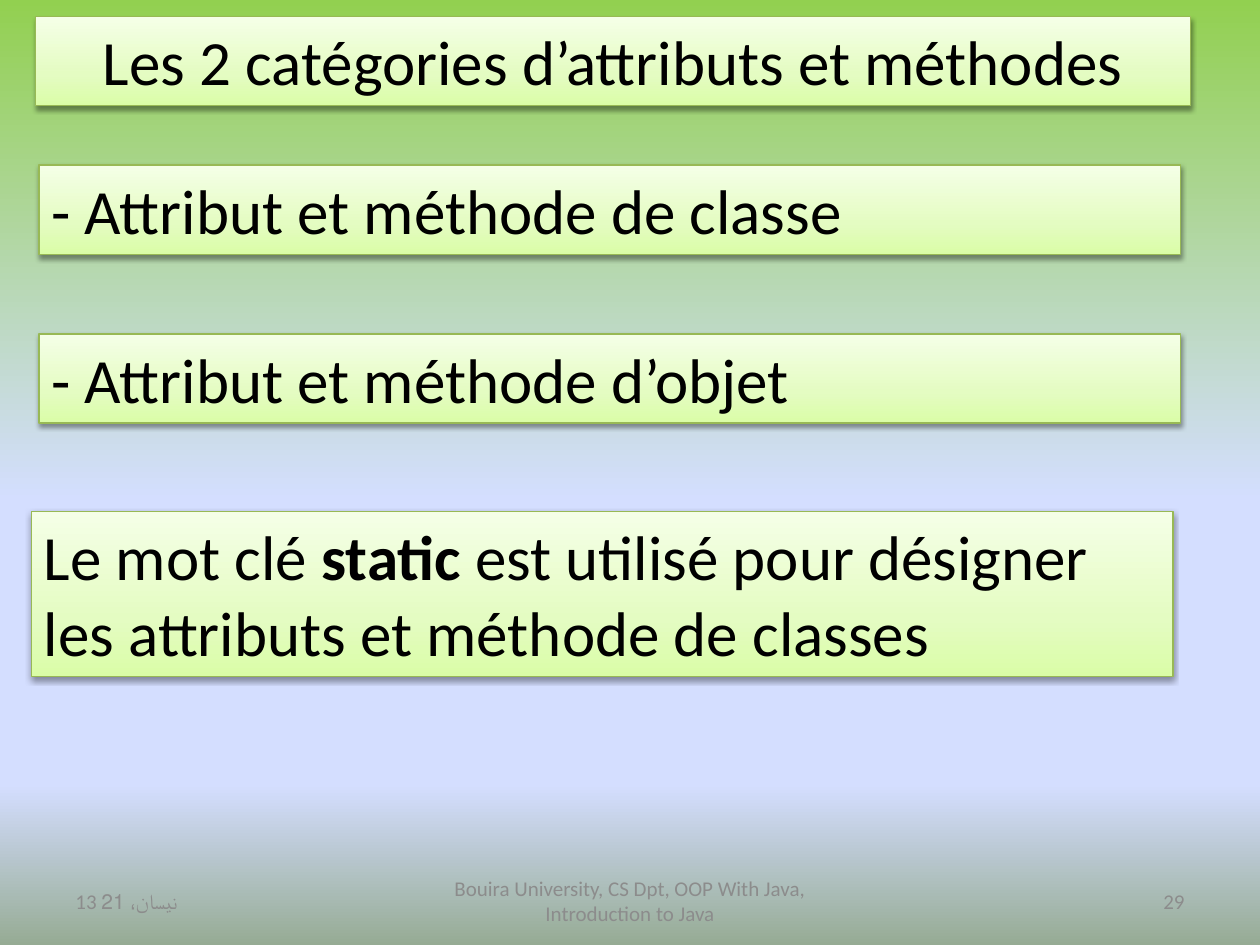
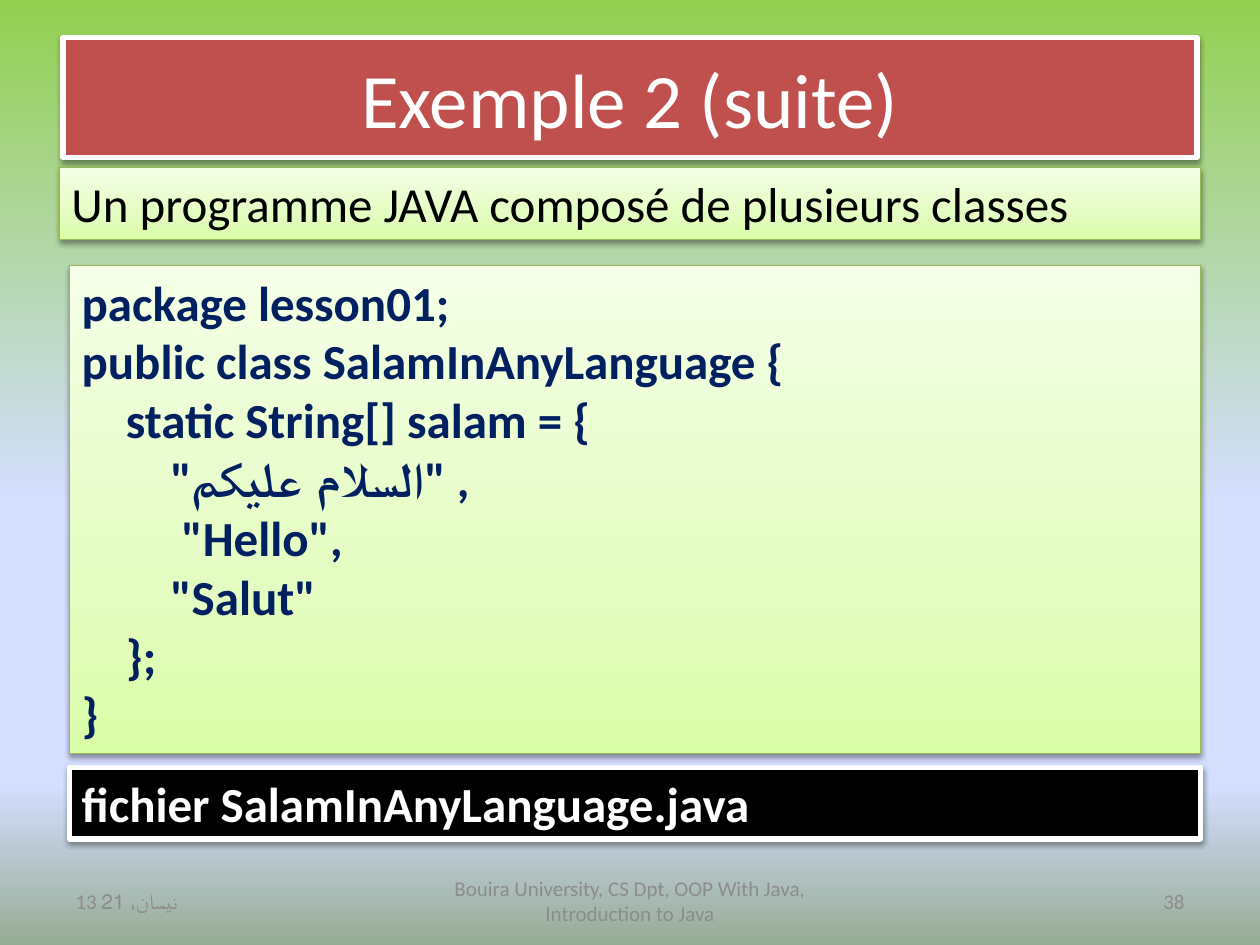
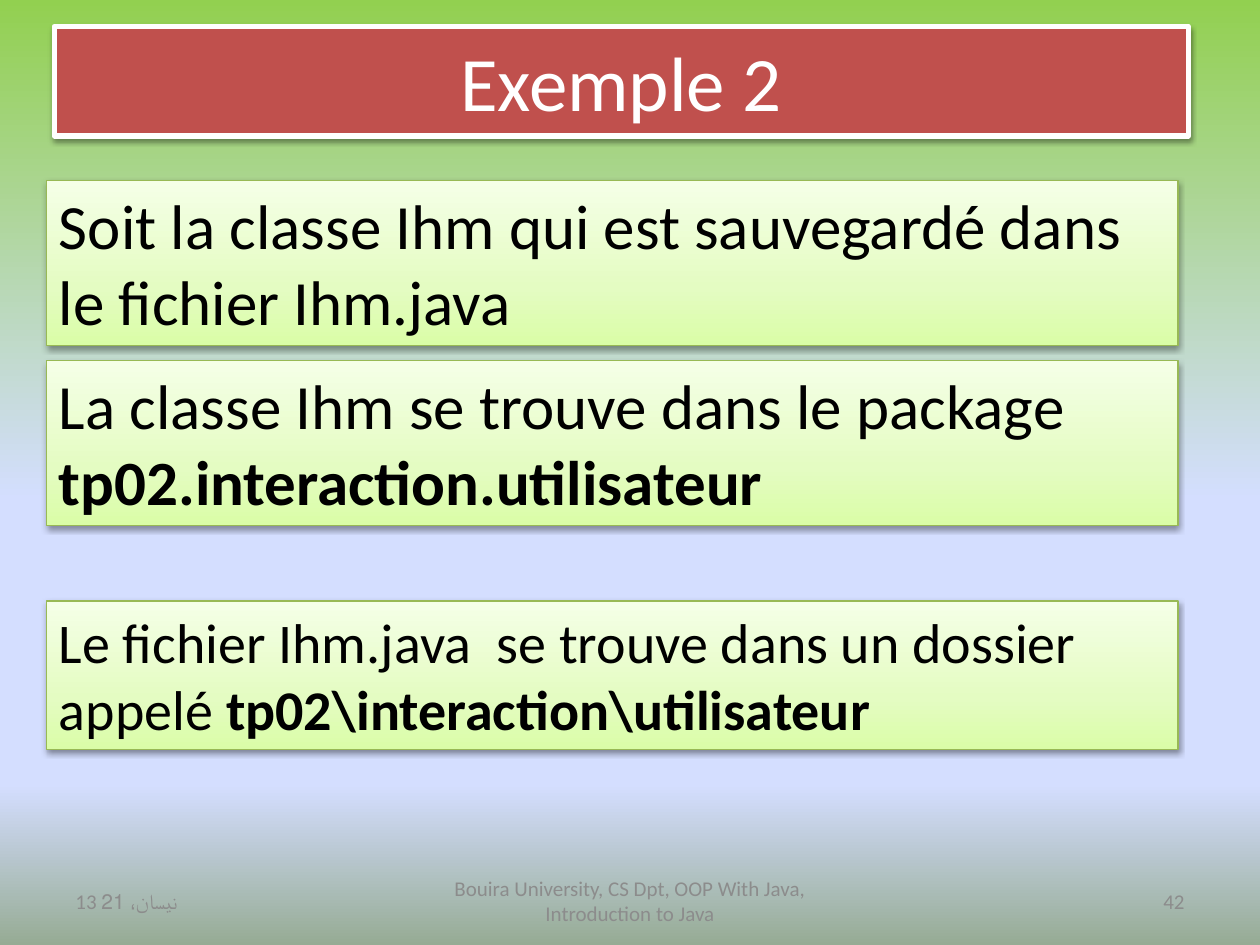
from dataclasses import dataclass
from typing import Optional

from lxml.etree import SubElement
from pptx import Presentation
from pptx.dml.color import RGBColor
from pptx.enum.shapes import MSO_SHAPE
from pptx.enum.text import MSO_ANCHOR, MSO_AUTO_SIZE, PP_ALIGN
from pptx.oxml.ns import qn
from pptx.util import Pt

Stops = tuple[tuple[int, str], ...]


@dataclass(frozen=True)
class Theme:
    font: str = "Calibri"
    black: str = "000000"
    white: str = "FFFFFF"
    red: str = "C0504D"
    navy: str = "002060"
    grey: str = "8C8C8C"
    green_line: str = "98B955"
    panel_stops: Stops = ((0, "DAFDA7"), (35, "E4FCC2"), (100, "F5FFE7"))
    page_stops: Stops = ((0, "92D050"), (53, "D4DEFF"), (83, "D4DEFF"), (100, "96AB94"))
    title: int = 44
    large: int = 36
    medium: int = 32
    body: int = 28
    footer: int = 12


THEME = Theme()


@dataclass(frozen=True)
class Style:
    """Look of a box; a fill of None means the green gradient."""
    color: str = THEME.black
    fill: Optional[str] = None
    line: str = THEME.green_line
    line_width: float = 0.75
    bold: bool = False
    align: PP_ALIGN = PP_ALIGN.LEFT
    anchor: MSO_ANCHOR = MSO_ANCHOR.TOP
    auto_size: MSO_AUTO_SIZE = MSO_AUTO_SIZE.SHAPE_TO_FIT_TEXT


PANEL = Style()
HEADING = Style(align=PP_ALIGN.CENTER)
CODE = Style(color=THEME.navy, bold=True)
FILE_NAME = Style(THEME.white, THEME.black, THEME.white, 3, bold=True)
TITLE = Style(THEME.white, THEME.red, THEME.white, 3, align=PP_ALIGN.CENTER,
              anchor=MSO_ANCHOR.MIDDLE, auto_size=MSO_AUTO_SIZE.NONE)


@dataclass(frozen=True)
class Box:
    """A framed text; lengths in points, **bold** parts between asterisks."""
    left: float
    top: float
    width: float
    height: float
    text: str
    size: int = THEME.large
    style: Style = PANEL


@dataclass(frozen=True)
class Page:
    number: int
    boxes: tuple[Box, ...]


@dataclass(frozen=True)
class FooterPart:
    left: float
    width: float
    align: PP_ALIGN
    text: str


FOOTER_TOP, FOOTER_HEIGHT = 500.4, 28.8
FOOTER = (
    FooterPart(36, 168, PP_ALIGN.LEFT, "13 نيسان، 21"),
    FooterPart(246, 228, PP_ALIGN.CENTER,
               "Bouira University, CS Dpt, OOP With Java, Introduction to Java"),
    FooterPart(516, 168, PP_ALIGN.RIGHT, "{number}"),
)

SALAM_CODE = """package lesson01;
public class SalamInAnyLanguage {
    static String[] salam = {
        "السلام عليكم" ,
         "Hello",
        "Salut"
    };
}"""

PAGES = (
    Page(29, (
        Box(20.2, 9.4, 660.2, 51, "Les 2 catégories d’attributs et méthodes", style=HEADING),
        Box(22.3, 94.3, 652.3, 51, "- Attribut et méthode de classe"),
        Box(22.3, 190.8, 652.3, 51, "- Attribut et méthode d’objet"),
        Box(18, 292.3, 652.3, 94.3, "Le mot clé **static** est utilisé pour désigner "
            "les attributs et méthode de classes"),
    )),
    Page(38, (
        Box(36, 21.6, 648, 68.4, "Exemple 2 (suite)", THEME.title, TITLE),
        Box(33.8, 95.8, 652.3, 41, "Un programme JAVA composé de plusieurs classes", THEME.body),
        Box(39.6, 151.9, 646.6, 278.6, SALAM_CODE, THEME.body, CODE),
        Box(39.6, 438.5, 646.6, 41, "fichier SalamInAnyLanguage.java", THEME.body, FILE_NAME),
    )),
    Page(42, (
        Box(31, 15.1, 648, 62.6, "Exemple 2", THEME.title, TITLE),
        Box(26.6, 103, 646.6, 94.3,
            "Soit la classe Ihm qui est sauvegardé dans le fichier Ihm.java"),
        Box(26.6, 205.9, 646.6, 94.3,
            "La classe Ihm se trouve dans le package **tp02.interaction.utilisateur**"),
        Box(26.6, 343.4, 646.6, 85, "Le fichier Ihm.java  se trouve dans un dossier appelé"
            "** tp02\\interaction\\utilisateur**", THEME.medium),
    )),
)


def set_gradient(fill, element, stops: Stops, angle: int) -> None:
    """Fill with any number of stops; the angle runs counter-clockwise."""
    fill.gradient()
    fill.gradient_angle = angle
    stop_list = element.find(".//" + qn("a:gsLst"))
    stop_list.clear()
    for percent, color in stops:
        stop = SubElement(stop_list, qn("a:gs"), pos=str(percent * 1000))
        SubElement(stop, qn("a:srgbClr"), val=color)


def add_shadow(sp) -> None:
    sp.shadow.inherit = False
    effects = sp.element.spPr.find(qn("a:effectLst"))
    shadow = SubElement(effects, qn("a:outerShdw"), blurRad=str(Pt(3.1)), dist=str(Pt(1.6)),
                        dir="5400000", rotWithShape="0")
    color = SubElement(shadow, qn("a:srgbClr"), val=THEME.black)
    SubElement(color, qn("a:alpha"), val="38000")


def write_text(tf, text: str, size: int, style: Style) -> None:
    tf.word_wrap = True
    tf.auto_size = style.auto_size
    tf.vertical_anchor = style.anchor
    for i, line in enumerate(text.split("\n")):
        p = tf.add_paragraph() if i else tf.paragraphs[0]
        p.alignment = style.align
        p.font.name = THEME.font
        p.font.size = Pt(size)
        p.font.bold = style.bold
        p.font.color.rgb = RGBColor.from_string(style.color)
        for j, part in enumerate(line.split("**")):
            if part:
                r = p.add_run()
                r.text = part
                if j % 2:
                    r.font.bold = True


def draw_box(s, box: Box) -> None:
    style = box.style
    sp = s.shapes.add_shape(MSO_SHAPE.RECTANGLE, Pt(box.left), Pt(box.top),
                            Pt(box.width), Pt(box.height))
    if style.fill:
        sp.fill.solid()
        sp.fill.fore_color.rgb = RGBColor.from_string(style.fill)
    else:
        set_gradient(sp.fill, sp.element, THEME.panel_stops, 90)
    sp.line.color.rgb = RGBColor.from_string(style.line)
    sp.line.width = Pt(style.line_width)
    add_shadow(sp)
    write_text(sp.text_frame, box.text, box.size, style)


def draw_footer(s, number: int) -> None:
    for part in FOOTER:
        sp = s.shapes.add_textbox(Pt(part.left), Pt(FOOTER_TOP), Pt(part.width),
                                  Pt(FOOTER_HEIGHT))
        style = Style(color=THEME.grey, align=part.align, anchor=MSO_ANCHOR.MIDDLE,
                      auto_size=MSO_AUTO_SIZE.NONE)
        write_text(sp.text_frame, part.text.format(number=number), THEME.footer, style)


def main() -> None:
    prs = Presentation()
    prs.slide_width, prs.slide_height = Pt(720), Pt(540)
    for page in PAGES:
        s = prs.slides.add_slide(prs.slide_layouts[6])
        set_gradient(s.background.fill, s.element, THEME.page_stops, 270)
        for box in page.boxes:
            draw_box(s, box)
        draw_footer(s, page.number)
    prs.save("out.pptx")


if __name__ == "__main__":
    main()
